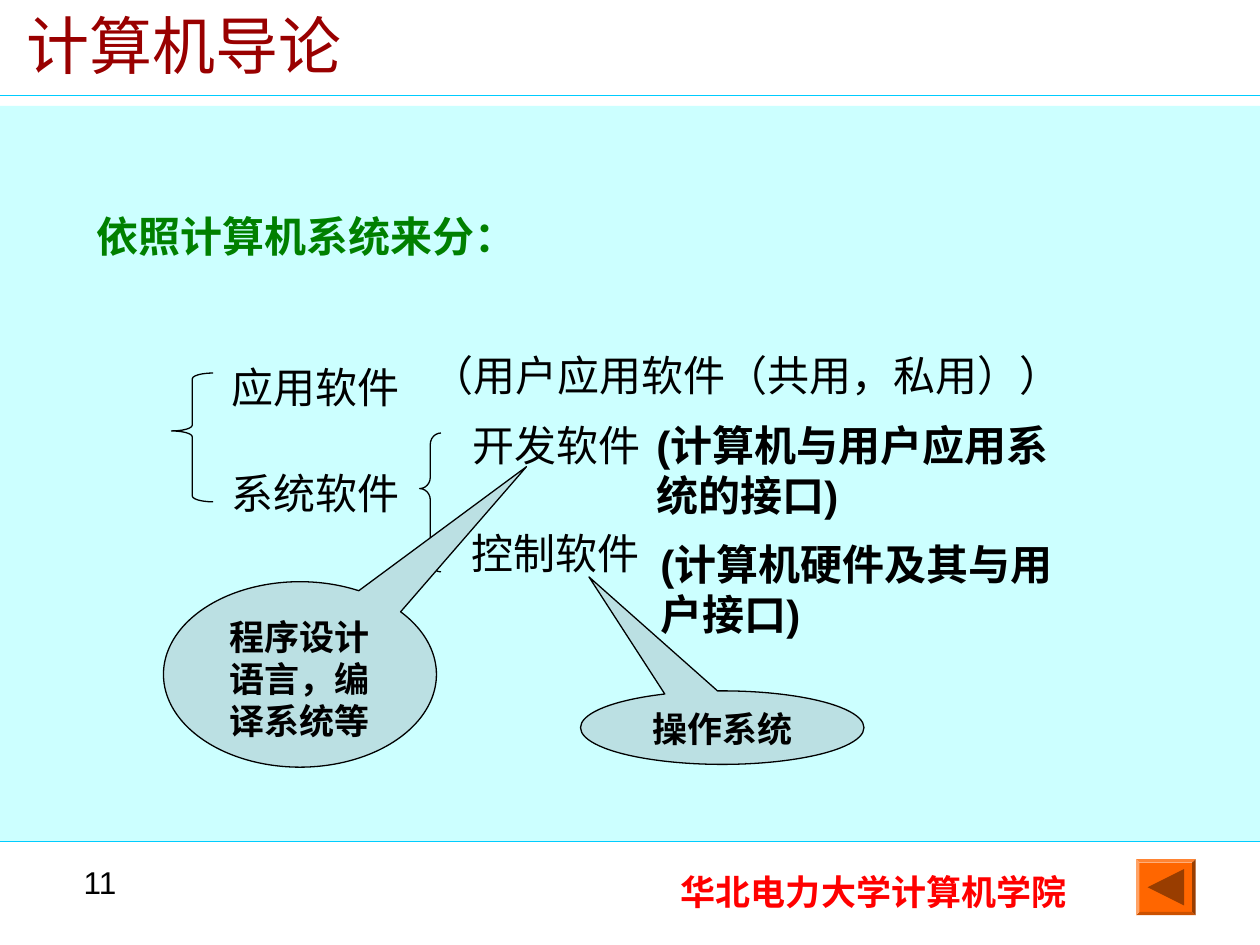
import pptx
import pptx.dml.color
import pptx.enum.shapes
import pptx.enum.text
import pptx.oxml.ns
import pptx.util
from lxml import etree

Pt = pptx.util.Pt
RGBColor = pptx.dml.color.RGBColor
SHAPE = pptx.enum.shapes.MSO_SHAPE
ALIGN = pptx.enum.text.PP_ALIGN
ANCHOR = pptx.enum.text.MSO_ANCHOR

BLACK = RGBColor(0x00, 0x00, 0x00)
GREEN = RGBColor(0x00, 0x80, 0x00)
RED = RGBColor(0xFF, 0x00, 0x00)
DARK_RED = RGBColor(0x99, 0x00, 0x00)
PALE_CYAN = RGBColor(0xCC, 0xFF, 0xFF)
SKY = RGBColor(0x00, 0xCC, 0xFF)
CALLOUT_BLUE = RGBColor(0xBB, 0xE0, 0xE3)
ORANGE = RGBColor(0xFF, 0x66, 0x00)
BROWN = RGBColor(0x99, 0x3D, 0x00)

WIDTH, HEIGHT = 720, 540
RULES = [54.7, 481]
BAND = (0, 60.5, WIDTH, 420)
TITLE = "计算机导论"
TITLE_BOX = (7.7, 0, 591, 50.4)

LABELS = [
    (["依照计算机系统来分："], (48.2, 116.6, 272, 36), 24, GREEN, True, ALIGN.LEFT, True),
    (["应用软件"], (125.3, 203, 116, 36), 24, BLACK, False, ALIGN.LEFT, True),
    (["系统软件"], (125.3, 263.5, 116, 36), 24, BLACK, False, ALIGN.LEFT, True),
    (["开发软件"], (262.8, 236.2, 116, 36), 24, BLACK, False, ALIGN.LEFT, True),
    (["控制软件"], (262.4, 298, 116, 36), 24, BLACK, False, ALIGN.LEFT, True),
    (["(计算机与用户应用系", "统的接口)"], (368, 236.2, 244, 65), 24, BLACK, True, ALIGN.LEFT, False),
    (["(计算机硬件及其与用户接口)"], (370.3, 304, 242.5, 65), 24, BLACK, True, ALIGN.LEFT, True),
    (["（用户应用软件（共用，私用））"], (239.4, 196.2, 374.4, 36), 24, BLACK, False, ALIGN.CENTER, False),
    (["华北电力大学计算机学院"], (382, 494, 244, 32), 20, RED, True, ALIGN.LEFT, True),
    (["11"], (8.6, 489.6, 65, 37.4), 18, BLACK, False, ALIGN.RIGHT, True),
]
BRACES = [
    ((98, 213.2, 23.8, 73.6), (0.14, 0.45)),
    ((239.8, 247.5, 12.2, 79.3), (0.53, 0.4)),
]
CALLOUTS = [
    ("程序设计语言，编译系统等", (93.4, 332.4, 156, 106), (0.83, -1.12)),
    ("操作系统", (331.7, 394.8, 162, 42), (-0.47, -2.05)),
]
BUTTON = (649.2, 491, 34, 32)
ARROW_SIZE = 20.8


def lengths(box):
    return [Pt(value) for value in box]


def add_run(paragraph, text, size, color, bold=False, font="Arial"):
    run = paragraph.add_run()
    run.text = text
    run.font.name = font
    run.font.size = Pt(size)
    run.font.bold = bold
    run.font.color.rgb = color


def set_insets(frame):
    frame.margin_left = frame.margin_right = Pt(7.2)
    frame.margin_top = frame.margin_bottom = Pt(3.6)


def add_label(slide, lines, box, size, color, bold, alignment, wrap):
    frame = slide.shapes.add_textbox(*lengths(box)).text_frame
    frame.word_wrap = wrap
    set_insets(frame)
    for index, line in enumerate(lines):
        paragraph = frame.add_paragraph() if index else frame.paragraphs[0]
        paragraph.alignment = alignment
        add_run(paragraph, line, size, color, bold)


def add_figure(slide, kind, box, fill=None, line=None, adjustments=()):
    shape = slide.shapes.add_shape(kind, *lengths(box))
    shape.shadow.inherit = False
    if fill is None:
        shape.fill.background()
    else:
        shape.fill.solid()
        shape.fill.fore_color.rgb = fill
    if line is None:
        shape.line.fill.background()
    else:
        shape.line.color.rgb = line
        shape.line.width = Pt(0.75)
    for index, value in enumerate(adjustments):
        shape.adjustments[index] = value
    return shape


def add_rule(slide, top):
    rule = slide.shapes.add_connector(
        pptx.enum.shapes.MSO_CONNECTOR.STRAIGHT, Pt(0), Pt(top), Pt(WIDTH), Pt(top))
    rule.line.color.rgb = SKY
    rule.line.width = Pt(0.75)
    etree.SubElement(rule._element.spPr, pptx.oxml.ns.qn("a:effectLst"))


def add_title(slide):
    title = slide.shapes.title
    title.left, title.top, title.width, title.height = lengths(TITLE_BOX)
    frame = title.text_frame
    frame.auto_size = pptx.enum.text.MSO_AUTO_SIZE.NONE
    frame.vertical_anchor = ANCHOR.TOP
    set_insets(frame)
    frame.paragraphs[0].alignment = ALIGN.LEFT
    add_run(frame.paragraphs[0], TITLE, 36, DARK_RED)


def add_callout(slide, text, box, tip):
    callout = add_figure(slide, SHAPE.OVAL_CALLOUT, box, CALLOUT_BLUE, BLACK, tip)
    frame = callout.text_frame
    frame.word_wrap = True
    frame.vertical_anchor = ANCHOR.TOP
    set_insets(frame)
    frame.paragraphs[0].alignment = ALIGN.CENTER
    add_run(frame.paragraphs[0], text, 20, BLACK, True, "Times New Roman")


def add_back_button(slide):
    left, top, width, height = BUTTON
    add_figure(slide, SHAPE.BEVEL, BUTTON, ORANGE, adjustments=[0.06])
    arrow_box = (left + (width - ARROW_SIZE) / 2, top + (height - ARROW_SIZE) / 2,
                 ARROW_SIZE, ARROW_SIZE)
    add_figure(slide, SHAPE.ISOSCELES_TRIANGLE, arrow_box, BROWN).rotation = 270


def main():
    presentation = pptx.Presentation()
    presentation.slide_width, presentation.slide_height = Pt(WIDTH), Pt(HEIGHT)
    slide = presentation.slides.add_slide(presentation.slide_layouts[5])
    add_figure(slide, SHAPE.RECTANGLE, BAND, PALE_CYAN)
    for top in RULES:
        add_rule(slide, top)
    add_title(slide)
    add_back_button(slide)
    for box, adjustments in BRACES:
        add_figure(slide, SHAPE.LEFT_BRACE, box, None, BLACK, adjustments)
    for label in LABELS:
        add_label(slide, *label)
    for callout in CALLOUTS:
        add_callout(slide, *callout)
    presentation.save("out.pptx")


if __name__ == "__main__":
    main()
